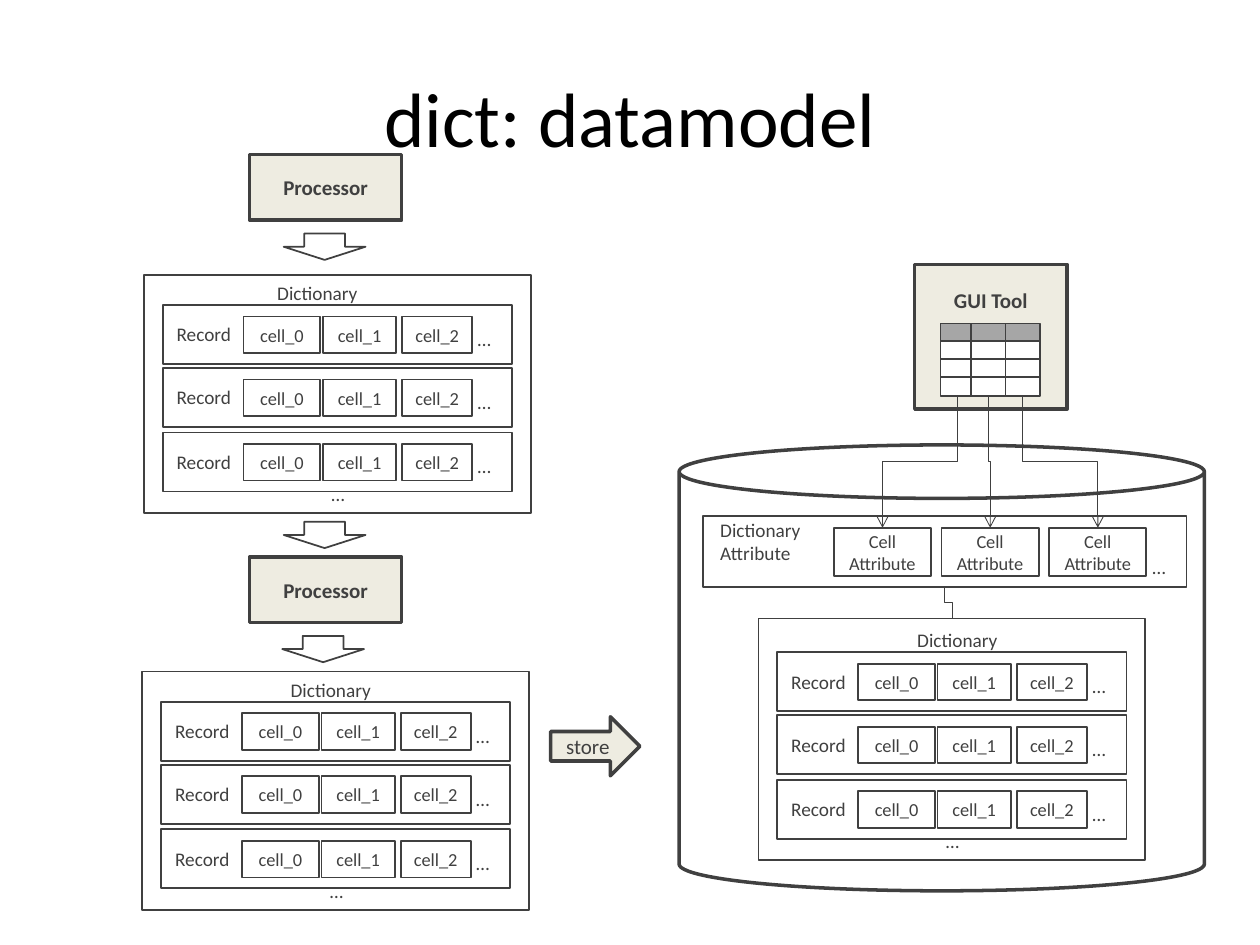
from dataclasses import dataclass

from lxml import etree
from pptx import Presentation
from pptx import util as u
from pptx.dml.color import RGBColor
from pptx.enum import shapes, text
from pptx.oxml.ns import qn

KIND = shapes.MSO_SHAPE
ALIGN = text.PP_ALIGN
ANCHOR = text.MSO_ANCHOR


@dataclass(frozen=True)
class Theme:
    """Colours, font, type sizes and line widths in points."""
    ink: str = "404040"
    black: str = "000000"
    white: str = "FFFFFF"
    cream: str = "EEECE1"
    grey: str = "A6A6A6"
    font: str = "Calibri"
    title: float = 44
    head: float = 12
    label: float = 11
    cell: float = 10.5
    thin: float = 0.5
    line: float = 1
    thick: float = 2


T = Theme()


def write(frame, words, size, color=T.ink, bold=False, align=ALIGN.CENTER):
    """Fill a text frame with one paragraph per line of words."""
    frame.word_wrap = True
    frame.text = words
    for para in frame.paragraphs:
        para.alignment = align
        font = para.font
        font.name, font.size, font.bold = T.font, u.Pt(size), bold
        font.color.rgb = RGBColor.from_string(color)


def draw(slide, box, kind=KIND.RECTANGLE, fill=T.white, width=T.line):
    """Add an outlined shape in a box of centimetres."""
    shape = slide.shapes.add_shape(kind, *map(u.Cm, box))
    shape.shadow.inherit = False
    if fill:
        shape.fill.solid()
        shape.fill.fore_color.rgb = RGBColor.from_string(fill)
    else:
        shape.fill.background()
    shape.line.color.rgb = RGBColor.from_string(T.ink)
    shape.line.width = u.Pt(width)
    frame = shape.text_frame
    frame.margin_left = frame.margin_right = 0
    frame.vertical_anchor = ANCHOR.MIDDLE
    return shape


def label(slide, x, y, words, w=2.26, h=0.74):
    """Add a small left-aligned label."""
    frame = slide.shapes.add_textbox(*map(u.Cm, (x, y, w, h))).text_frame
    frame.margin_right = 0
    write(frame, words, T.label, align=ALIGN.LEFT)


def heading(slide, box):
    """Add the slide title."""
    frame = slide.shapes.add_textbox(*map(u.Cm, box)).text_frame
    frame.vertical_anchor = ANCHOR.MIDDLE
    write(frame, "dict: datamodel", T.title, T.black)


def record(slide, x, y):
    """Draw one record with its three cells."""
    draw(slide, (x, y, 7.04, 1.19))
    label(slide, x + 0.03, y + 0.23, "Record", 1.65)
    for i in range(3):
        cell = draw(slide, (x + 1.63 + 1.6 * i, y + 0.23, 1.55 - 0.07 * i, 0.74))
        write(cell.text_frame, f"cell_{i}", T.cell)
    label(slide, x + 6.1, y + 0.32, "…", 0.91)


def book(slide, x, y, inset, pad=0):
    """Draw a dictionary of three records and return its frame."""
    frame = draw(slide, (x, y, 7.8, 4.8 + pad))
    label(slide, x + inset, y + pad, "Dictionary")
    for top in (0.61, 1.88, 3.18):
        record(slide, x + 0.38, y + top + pad)
    label(slide, x + 3.53, y + 4.06 + pad, "…", 0.91)
    return frame


def down(slide, x, y):
    """Draw a block arrow pointing down."""
    draw(slide, (x, y, 1.65, 0.53), KIND.DOWN_ARROW)


def stage(slide, x, y, gap, inset):
    """Draw a processor, its arrow and the dictionary it yields."""
    proc = draw(slide, (5.03, y, 3.07, 1.32), fill=T.cream, width=T.thick)
    write(proc.text_frame, "Processor", T.head, bold=True)
    down(slide, x + 2.82, y + 1.59)
    book(slide, x, y + gap, inset)


def store(slide, box):
    """Draw the store arrow."""
    arrow = draw(slide, box, KIND.RIGHT_ARROW, T.cream, T.thick)
    write(arrow.text_frame, "store", T.head)


def tool(slide, x, y):
    """Draw the GUI tool with its grid and return the bottom row."""
    panel = draw(slide, (x, y, 3.07, 2.92), fill=T.cream, width=T.thick)
    frame = panel.text_frame
    frame.vertical_anchor = ANCHOR.TOP
    frame.margin_top = u.Cm(0.46)
    write(frame, "GUI Tool", T.head, bold=True)
    for row in range(4):
        fill = T.white if row else T.grey
        cells = [draw(slide, (x + dx, y + 1.19 + 0.36 * row, 0.69, 0.38), fill=fill)
                 for dx in (0.52, 1.14, 1.83)]
    return cells


def band(slide, x, y):
    """Draw the dictionary attribute; return its frame and cells."""
    frame = draw(slide, (x, y, 9.75, 1.42))
    label(slide, x + 0.1, y - 0.08, "Dictionary Attribute", h=1.19)
    cells = [draw(slide, (x + 2.64 + 2.17 * i, y + 0.23, 1.96, 0.97))
             for i in range(3)]
    for cell in cells:
        write(cell.text_frame, "Cell\nAttribute", T.cell)
    label(slide, x + 8.81, y + 0.66, "…", 0.91)
    return frame, cells


def link(slide, start, end, head=False):
    """Join the bottom of one shape to the top of another by an elbow."""
    wire = slide.shapes.add_connector(shapes.MSO_CONNECTOR.ELBOW, 0, 0, 0, 0)
    wire.begin_connect(start, 2)
    wire.end_connect(end, 0)
    dx, dy = wire.end_x - wire.begin_x, wire.end_y - wire.begin_y
    mid_x, mid_y = wire.begin_x + dx // 2, wire.begin_y + dy // 2
    wide, high = dy, abs(dx)
    wire.left, wire.top = mid_x - wide // 2, mid_y - high // 2
    wire.width, wire.height = wide, high
    props = wire._element.spPr
    form = props.find(qn("a:xfrm"))
    form.set("rot", str((270 if dx > 0 else 90) * 60000))
    form.set("flipH", str(int(dx > 0)))
    form.set("flipV", "0")
    wire.line.color.rgb = RGBColor.from_string(T.ink)
    wire.line.width = u.Pt(T.thin)
    if head:
        etree.SubElement(props.find(qn("a:ln")), qn("a:tailEnd"), type="arrow")
    etree.SubElement(props, qn("a:effectLst"))


def base(slide, x, y):
    """Draw the database and return its attribute cells."""
    can = draw(slide, (x, y, 10.59, 8.99), KIND.CAN, None, T.thick)
    can.adjustments[0] = 0.12
    frame, cells = band(slide, x + 0.48, y + 1.44)
    link(slide, frame, book(slide, x + 1.6, y + 3.5, 2.95, 0.07))
    return cells


def main():
    """Build and save the slide."""
    deck = Presentation()
    deck.slide_width, deck.slide_height = u.Cm(25.4), u.Cm(19.05)
    slide = deck.slides.add_slide(deck.slide_layouts[6])
    heading(slide, (1.27, 0.76, 22.86, 3.18))
    stage(slide, 2.9, 3.12, 2.42, 2.44)
    down(slide, 5.72, 10.52)
    stage(slide, 2.87, 11.23, 2.31, 2.74)
    store(slide, (11.1, 14.45, 1.8, 1.19))
    ends = base(slide, 13.69, 8.97)
    for start, end in zip(tool(slide, 18.44, 5.33), ends):
        link(slide, start, end, True)
    deck.save("out.pptx")


if __name__ == "__main__":
    main()
